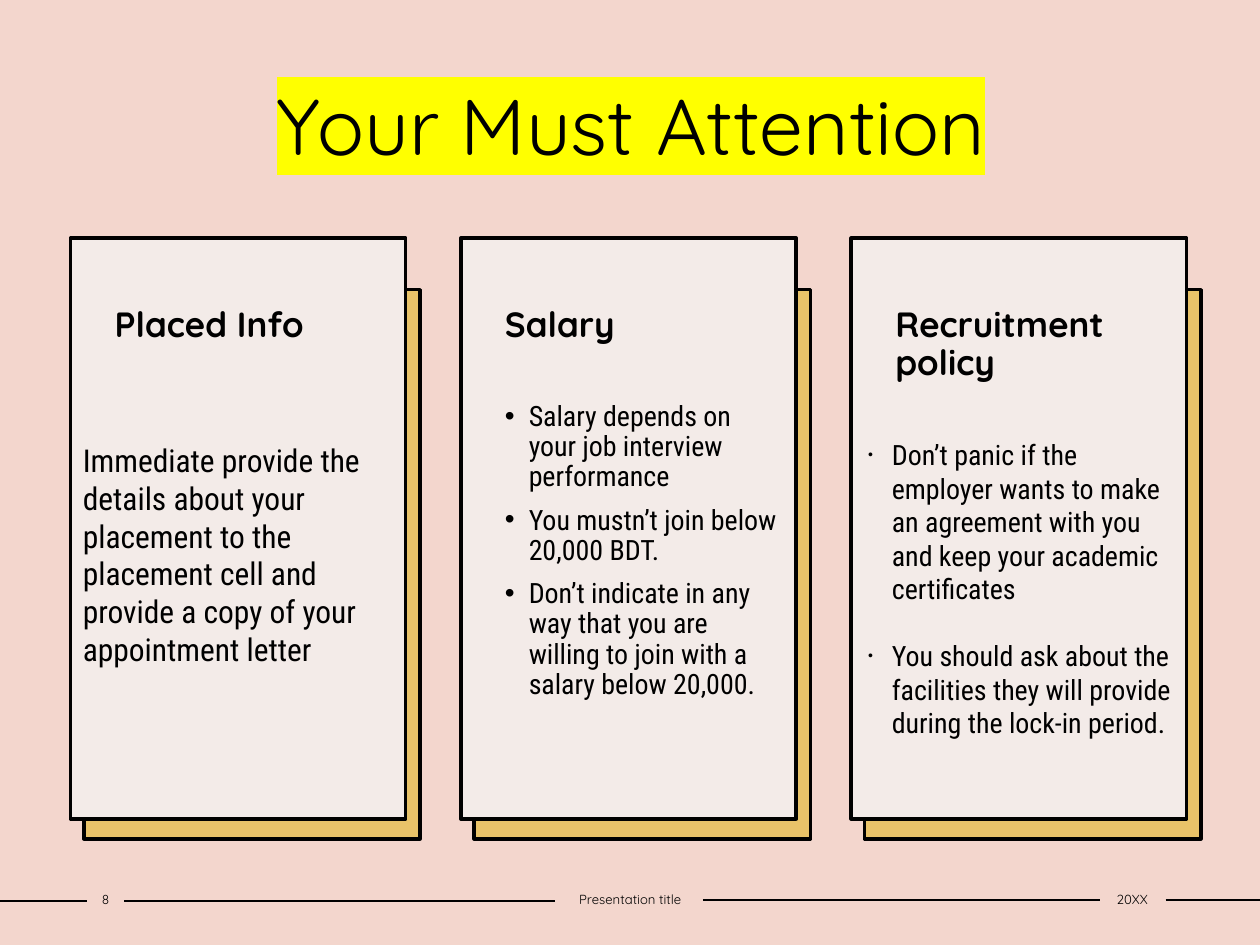
"""Build the "Your Must Attention" slide with three advice cards."""
from dataclasses import dataclass, field

from lxml import etree
from pptx import Presentation
from pptx import util as u
from pptx.dml.color import RGBColor
from pptx.enum import shapes, text
from pptx.oxml.ns import qn

COLORS = {"background": "F3D6CD", "card": "F3EBE8", "shadow": "E9C369",
          "ink": "000000", "highlight": "FFFF00"}
HEADING_FONT = "Quicksand"
BODY_FONT = "Roboto Condensed"
CARD_LEFT, CARD_TOP, CARD_PITCH = 1.42, 4.8, 7.87
CARD_SIZE = (6.76, 11.71)
SHADOW_OFFSET, SHADOW_TOP = 0.27, 5.84
SHADOW_SIZE = (6.78, 11.07)
CARD_INSETS = (0.89, 1.4, 0.25, 0.13)
TEXT_INSETS = (0.25, 0.13, 0.25, 0.13)
FOOTER_INSETS = (0, 0.13, 0, 0.13)
BULLET_INDENT = 0.48


@dataclass
class Style:
    font: str
    size: float
    bold: bool = False
    align: text.PP_ALIGN = text.PP_ALIGN.LEFT
    line_spacing: float = 1.0
    space_before: float = 0
    bullet_percent: int = 0


@dataclass
class Line:
    wording: str
    style: Style


@dataclass
class Card:
    lines: list[Line]
    body_box: tuple[float, float, float, float] | None = None
    body: list[Line] = field(default_factory=list)


@dataclass
class FooterItem:
    wording: str
    left: float
    width: float


@dataclass
class Rule:
    start: float
    end: float
    top: float


TITLE = Style(HEADING_FONT, 45, align=text.PP_ALIGN.CENTER)
HEADING = Style(HEADING_FONT, 20, True, line_spacing=0.9, space_before=7.5)
PLAIN = Style(BODY_FONT, 18)
BULLET = Style(BODY_FONT, 16, line_spacing=0.9, space_before=7.5, bullet_percent=100)
FIRST_BULLET = Style(BODY_FONT, 16, line_spacing=0.9, space_before=32.5, bullet_percent=100)
SMALL_BULLET = Style(BODY_FONT, 16, bullet_percent=50)
NEXT_SMALL_BULLET = Style(BODY_FONT, 16, space_before=19, bullet_percent=50)
FOOTER = Style(HEADING_FONT, 7.5, align=text.PP_ALIGN.CENTER)

CARDS = [
    Card([Line("Placed Info", HEADING)], (1.42, 8.76, 6.76, 7.75), [
        Line("Immediate provide the details about your placement to the placement "
             "cell and provide a copy of your appointment letter", PLAIN)]),
    Card([
        Line("Salary", HEADING),
        Line("Salary depends on your job interview performance", FIRST_BULLET),
        Line("You mustn’t join below 20,000 BDT.", BULLET),
        Line("Don’t indicate in any way that you are willing to join with a "
             "salary below 20,000.", BULLET)]),
    Card([Line("Recruitment policy", HEADING)], (17.25, 8.69, 6.71, 7.75), [
        Line("Don’t panic if the employer wants to make an agreement with you "
             "and keep your academic certificates", SMALL_BULLET),
        Line("You should ask about the facilities they will provide during the "
             "lock-in period.", NEXT_SMALL_BULLET)]),
]
RULES = [Rule(0, 1.75, 18.16), Rule(2.51, 11.18, 18.16),
         Rule(14.17, 22.17, 18.14), Rule(23.5, 25.4, 18.14)]
FOOTER_ITEMS = [FooterItem("8", 1.75, 0.76),
                FooterItem("Presentation title", 11.18, 3.05),
                FooterItem("20XX", 22.15, 1.35)]


def color(name: str) -> RGBColor:
    return RGBColor.from_string(COLORS[name])


def add_bullet(paragraph, percent: int) -> None:
    properties = paragraph._p.get_or_add_pPr()
    properties.set("marL", str(u.Cm(BULLET_INDENT)))
    properties.set("indent", str(-u.Cm(BULLET_INDENT)))
    for tag, name, value in (("a:buSzPct", "val", str(percent * 1000)),
                             ("a:buFont", "typeface", "Arial"),
                             ("a:buChar", "char", "•")):
        etree.SubElement(properties, qn(tag)).set(name, value)


def write_lines(shape, lines: list[Line], insets: tuple, anchor=text.MSO_ANCHOR.TOP) -> None:
    frame = shape.text_frame
    frame.text = "\n".join(line.wording for line in lines)
    frame.word_wrap = True
    frame.auto_size = text.MSO_AUTO_SIZE.NONE
    frame.vertical_anchor = anchor
    (frame.margin_left, frame.margin_top,
     frame.margin_right, frame.margin_bottom) = map(u.Cm, insets)
    for paragraph, line in zip(frame.paragraphs, lines):
        style = line.style
        paragraph.alignment = style.align
        paragraph.line_spacing = style.line_spacing
        paragraph.space_before = u.Pt(style.space_before)
        if style.bullet_percent:
            add_bullet(paragraph, style.bullet_percent)
        font = paragraph.runs[0].font
        font.name, font.size, font.bold = style.font, u.Pt(style.size), style.bold
        font.color.rgb = color("ink")


def add_text(slide, box: tuple, lines: list[Line], insets=TEXT_INSETS,
             anchor=text.MSO_ANCHOR.TOP) -> None:
    write_lines(slide.shapes.add_textbox(*map(u.Cm, box)), lines, insets, anchor)


def add_panel(slide, left: float, top: float, size: tuple, fill: str):
    shape = slide.shapes.add_shape(shapes.MSO_SHAPE.RECTANGLE,
                                   *map(u.Cm, (left, top, *size)))
    shape.shadow.inherit = False
    shape.fill.solid()
    shape.fill.fore_color.rgb = color(fill)
    shape.line.color.rgb = color("ink")
    shape.line.width = u.Pt(2)
    return shape


def add_rule(slide, rule: Rule) -> None:
    connector = slide.shapes.add_connector(
        shapes.MSO_CONNECTOR.STRAIGHT,
        *map(u.Cm, (rule.start, rule.top, rule.end, rule.top)))
    connector.line.color.rgb = color("ink")
    connector.line.width = u.Pt(1)
    etree.SubElement(connector._element.spPr, qn("a:effectLst"))


def add_card(slide, index: int, card: Card) -> None:
    left = CARD_LEFT + index * CARD_PITCH
    add_panel(slide, left + SHADOW_OFFSET, SHADOW_TOP, SHADOW_SIZE, "shadow")
    panel = add_panel(slide, left, CARD_TOP, CARD_SIZE, "card")
    write_lines(panel, card.lines, CARD_INSETS)
    if card.body_box:
        add_text(slide, card.body_box, card.body)


def format_title(title) -> None:
    title.left, title.top, title.width, title.height = map(u.Cm, (2.39, 1.42, 20.65, 2.82))
    write_lines(title, [Line("Your Must Attention", TITLE)], TEXT_INSETS)
    properties = title.text_frame.paragraphs[0].runs[0].font._element
    highlight = etree.Element(qn("a:highlight"))
    etree.SubElement(highlight, qn("a:srgbClr")).set("val", COLORS["highlight"])
    properties.find(qn("a:solidFill")).addnext(highlight)


def main() -> None:
    presentation = Presentation()
    presentation.slide_width, presentation.slide_height = u.Cm(25.4), u.Cm(19.05)
    slide = presentation.slides.add_slide(presentation.slide_layouts[5])
    slide.background.fill.solid()
    slide.background.fill.fore_color.rgb = color("background")
    format_title(slide.shapes.title)
    for rule in RULES:
        add_rule(slide, rule)
    for index, card in enumerate(CARDS):
        add_card(slide, index, card)
    for item in FOOTER_ITEMS:
        add_text(slide, (item.left, 17.78, item.width, 0.69), [Line(item.wording, FOOTER)],
                 FOOTER_INSETS, text.MSO_ANCHOR.MIDDLE)
    presentation.save("out.pptx")


if __name__ == "__main__":
    main()
